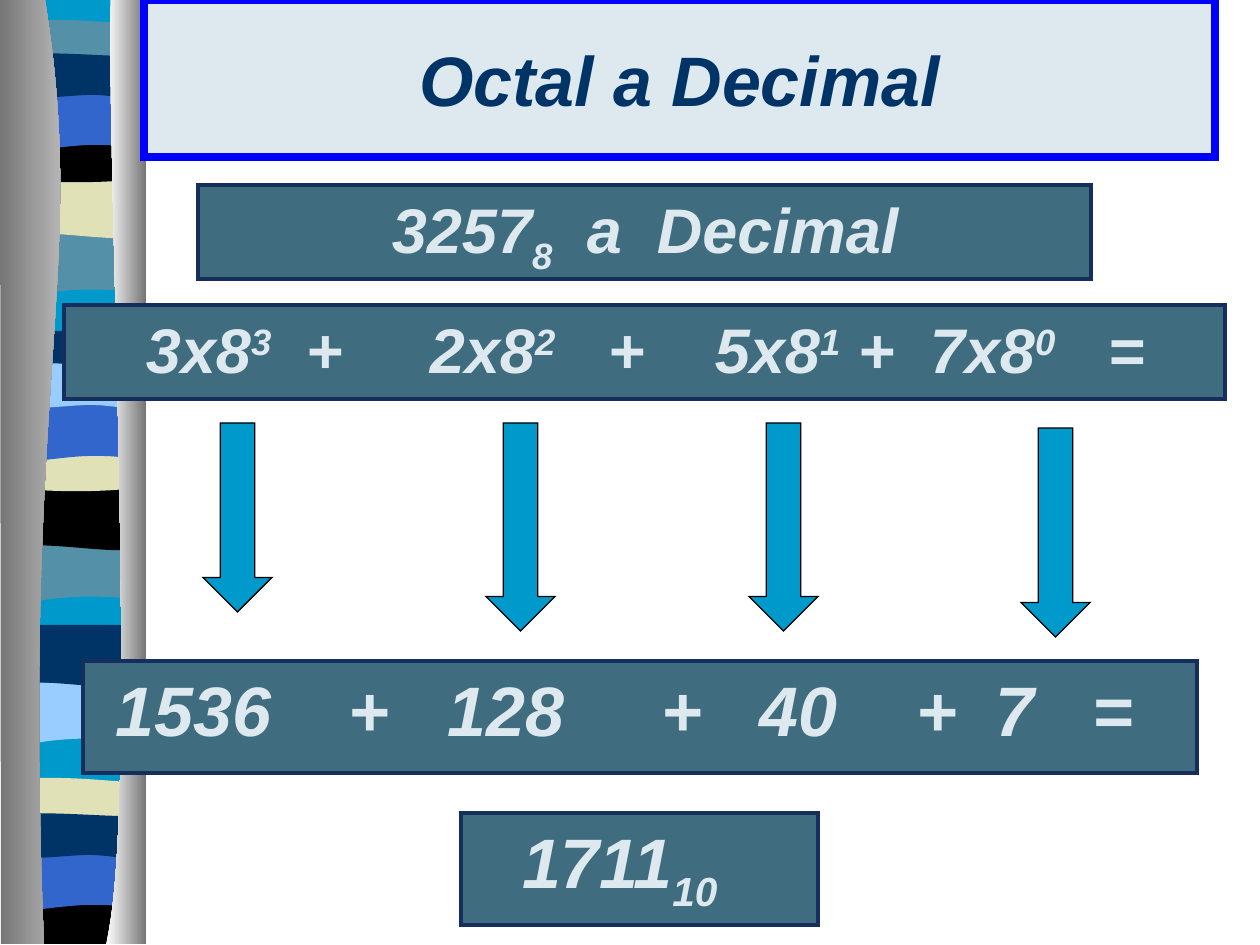
from lxml.etree import SubElement
from pptx import Presentation
from pptx.dml.color import RGBColor
from pptx.enum.shapes import MSO_SHAPE as Preset
from pptx.enum.text import MSO_ANCHOR as Anchor, PP_ALIGN as Align
from pptx.oxml.ns import qn
from pptx.util import Emu, Pt

COLORS = {
    "cyan": "0099CC", "slate": "5490A8", "navy": "003366", "blue": "3366CC",
    "black": "000000", "khaki": "E1E1B7", "sky": "99CCFF",
    "dark": "767676", "silver": "D4D4D4", "white": "FFFFFF",
    "pale": "DDE9EE", "frame": "0000FF", "bar": "3F6C7E", "edge": "162E5D",
}
FONT = "Arial"
WIDTH, HEIGHT = 1260, 945

TITLE = "Octal a Decimal"
TITLE_BOX = (144, 0, 1071, 157)

# Each bar: box, text size, then (left edge, text, subscript or superscript, baseline)
SUB, SUPER = -25000, 30000
BARS = [
    ((198, 185, 893, 94), 36,
     [(392, "3257", "8", SUB), (587, "a", "", 0), (657, "Decimal", "", 0)]),
    ((64, 305, 1161, 94), 36,
     [(146, "3x8", "3", SUPER), (306, "+", "", 0),
      (430, "2x8", "2", SUPER), (608, "+", "", 0),
      (715, "5x8", "1", SUPER), (858, "+", "", 0),
      (930, "7x8", "0", SUPER), (1108, "=", "", 0)]),
    ((83, 661, 1114, 112), 40,
     [(116, "1536", "", 0), (349, "+", "", 0), (448, "128", "", 0),
      (661, "+", "", 0), (760, "40", "", 0), (917, "+", "", 0),
      (995, "7", "", 0), (1093, "=", "", 0)]),
    ((461, 813, 357, 112), 40, [(522, "1711", "10", SUB)]),
]
ARROWS = [(203, 423, 189), (486, 423, 208), (749, 423, 208), (1021, 428, 209)]
ARROW_WIDTH = 69

# Outlines: a start, then points (x, y) or curves (x1, y1, x2, y2, x, y)
OUTLINES = {
    "ribbon": [(134, 0), (134, 942), (0, 942), (0, 0)],
    "tongue": [(134, 0), (134, 59), (41, 48, 22, 68, 0, 59), (0, 0)],
    "wave": [(134, 0), (134, 59), (112, 69, 41, 52, 0, 59), (0, 0)],
    "hill": [(134, 6), (134, 38), (112, 43, 23, 43, 0, 38), (0, 6),
             (9, 0, 30, 1, 52, 1), (75, 1, 117, 5, 134, 6)],
    "cup": [(134, 0), (134, 41), (112, 48, 23, 48, 0, 41), (0, 0),
            (83, 6, 106, 0, 134, 0)],
    "foot": [(134, 0), (134, 47), (0, 47), (0, 0), (83, 6, 106, 0, 134, 0)],
    "arch": [(134, 0), (134, 59), (113, 52, 105, 52, 82, 52),
             (60, 52, 20, 59, 0, 59), (0, 0)],
    "flow": [(134, 6), (134, 45), (125, 52, 105, 45, 82, 45),
             (60, 45, 14, 52, 0, 45), (0, 6),
             (19, 0, 91, 6, 113, 6), (136, 6, 129, 6, 134, 6)],
    "left column": [(45, 0), (89, 272, 21, 373, 44, 944), (1, 944), (0, 0)],
    "right column": [(111, 0), (106, 158, 140, 814, 106, 944), (146, 944), (146, 0)],
}

# Ribbon groups: left edge, then (outline, top, colour) from back to front
RIBBON = [
    (10, [("ribbon", 0, "cyan")]),
    (10, [("tongue", 234, "slate"), ("wave", 176, "khaki"), ("hill", 19, "slate"),
          ("cup", 136, "black"), ("arch", 93, "blue"), ("flow", 50, "navy")]),
    (9, [("tongue", 541, "slate"), ("wave", 488, "black"), ("hill", 330, "navy"),
         ("cup", 445, "khaki"), ("arch", 404, "blue"), ("flow", 360, "sky")]),
    (7, [("tongue", 683, "sky"), ("wave", 625, "navy"), ("hill", 777, "khaki"),
         ("foot", 897, "black"), ("arch", 853, "blue"), ("flow", 810, "navy")]),
]
COLUMNS = [("left column", ("dark", "silver")), ("right column", ("white", "dark"))]

deck = Presentation()
SCALE = 9144000 / WIDTH


def px(value):
    return Emu(round(value * SCALE))


def color(name):
    return RGBColor.from_string(COLORS[name])


def paint(shape, fill, line, weight):
    shape.fill.solid()
    shape.fill.fore_color.rgb = color(fill)
    shape.line.color.rgb = color(line)
    shape.line.width = Pt(weight)
    SubElement(shape.line._get_or_add_ln(), qn("a:miter"), lim="800000")


def style(span, size, ink):
    span.font.name, span.font.size = FONT, Pt(size)
    span.font.bold = span.font.italic = True
    span.font.color.rgb = color(ink)


def add_outline(page, outline, left=0, top=0):
    """Build a freeform of lines, then join the three points of each curve."""
    start, *segments = OUTLINES[outline]
    points = [(px(left + x), px(top + y)) for segment in [start, *segments]
              for x, y in zip(segment[::2], segment[1::2])]
    builder = page.shapes.build_freeform(*points[0], scale=1)
    builder.add_line_segments(points[1:], close=True)
    shape = builder.convert_to_shape()
    lines = iter(list(shape.element.iter(qn("a:lnTo"))))
    for segment in segments:
        line = next(lines)
        if len(segment) == 6:
            line.tag = qn("a:cubicBezTo")
            for _ in range(2):
                extra = next(lines)
                line.append(extra[0])
                extra.getparent().remove(extra)
    shape.shadow.inherit = False
    shape.line.fill.background()
    return shape


def add_bar(page, box, size, items):
    bar = page.shapes.add_shape(Preset.RECTANGLE, *map(px, box))
    bar.shadow.inherit = False
    paint(bar, "bar", "edge", 2.5)
    frame = bar.text_frame
    frame.word_wrap = True
    frame.vertical_anchor = Anchor.TOP
    frame.margin_left = frame.margin_right = 0
    frame.margin_top = frame.margin_bottom = px(6)
    para = frame.paragraphs[0]
    para.alignment = Align.LEFT
    stops = SubElement(para._p.get_or_add_pPr(), qn("a:tabLst"))
    for left, text, script, baseline in items:
        SubElement(stops, qn("a:tab"), pos=str(px(left - box[0])), algn="l")
        for part, shift in ((f"\t{text}", 0), (script, baseline)):
            if part:
                span = para.add_run()
                span.text = part
                style(span, size, "pale")
                if shift:
                    span.font._element.set("baseline", str(shift))


deck.slide_width, deck.slide_height = px(WIDTH), px(HEIGHT)
page = deck.slides.add_slide(deck.slide_layouts[5])

# Ribbon and columns at the left
for left, bands in RIBBON:
    for outline, top, name in bands:
        band = add_outline(page, outline, left, top)
        band.fill.solid()
        band.fill.fore_color.rgb = color(name)
for outline, shades in COLUMNS:
    column = add_outline(page, outline)
    column.fill.gradient()
    column.fill.gradient_angle = 0
    for stop, shade in zip(column.fill.gradient_stops, shades):
        stop.color.rgb = color(shade)

# Title, in front of the columns
title = page.shapes.title
title.left, title.top, title.width, title.height = map(px, TITLE_BOX)
paint(title, "pale", "frame", 4.5)
title.text_frame.text = TITLE
title.text_frame.vertical_anchor = Anchor.MIDDLE
title.text_frame.paragraphs[0].alignment = Align.CENTER
style(title.text_frame.paragraphs[0].runs[0], 40, "navy")
title.element.getparent().append(title.element)

# Calculation bars and the arrows between them
for bar in BARS:
    add_bar(page, *bar)
for left, top, height in ARROWS:
    arrow = page.shapes.add_shape(
        Preset.DOWN_ARROW, *map(px, (left, top, ARROW_WIDTH, height)))
    arrow.shadow.inherit = False
    paint(arrow, "cyan", "black", 0.75)

deck.save("out.pptx")
